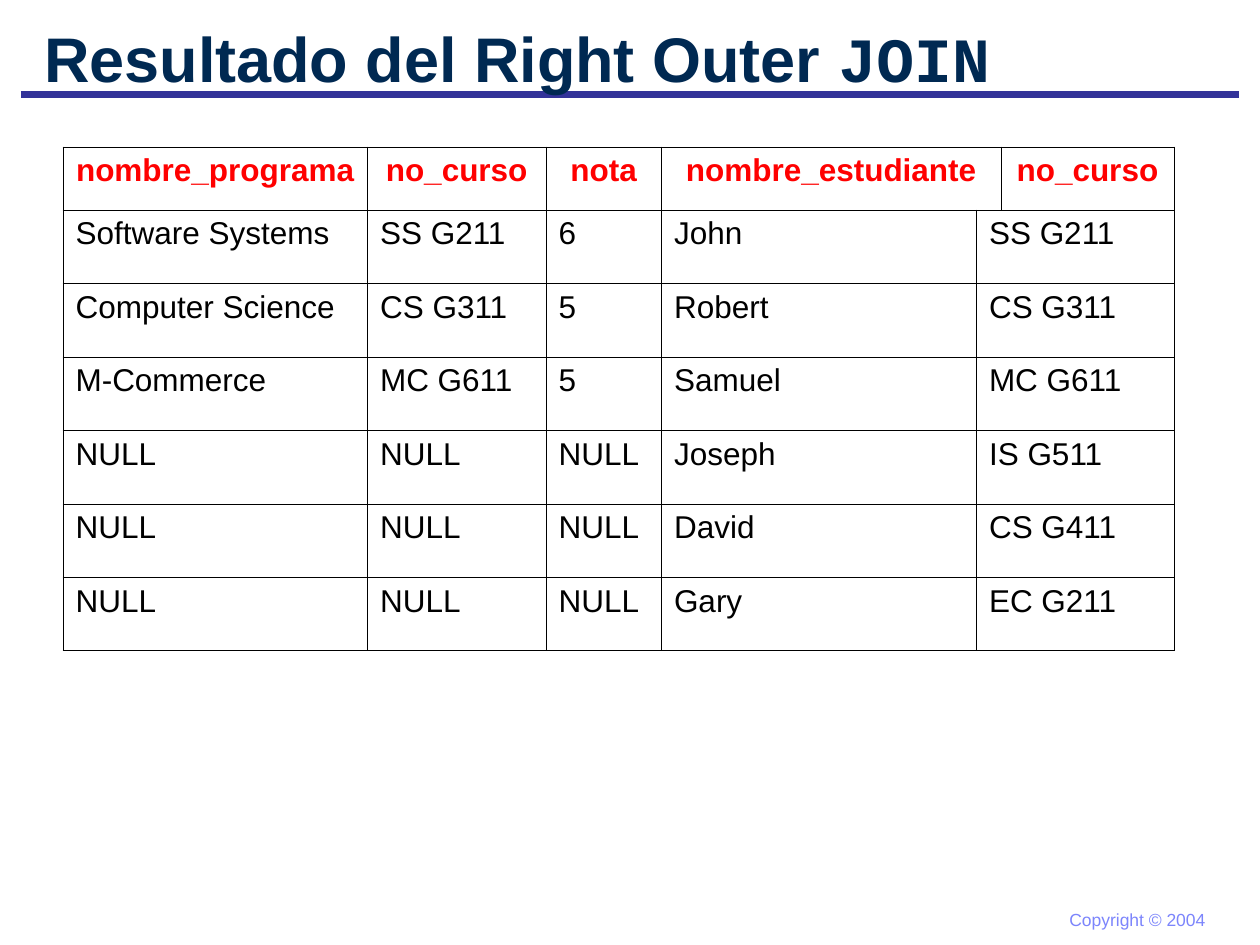
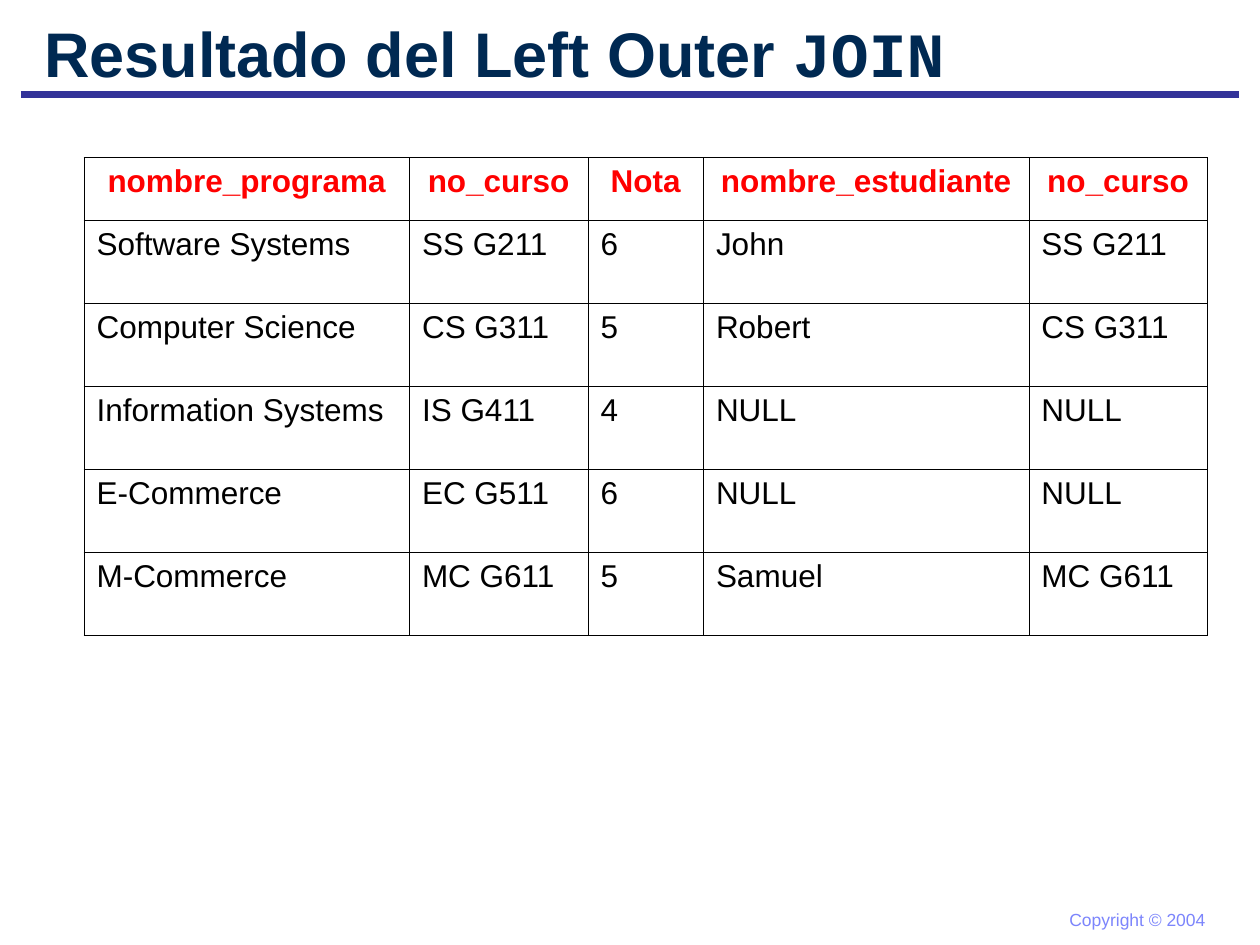
from dataclasses import dataclass

from lxml.etree import SubElement
from pptx import Presentation
from pptx.dml.color import RGBColor as Rgb
from pptx.enum.shapes import MSO_CONNECTOR as Link
from pptx.enum.text import MSO_ANCHOR as Anchor, MSO_AUTO_SIZE as Fit, PP_ALIGN as Align
from pptx.oxml.ns import qn
from pptx.util import Pt


@dataclass(frozen=True)
class Theme:
    title: str = "002952"
    rule: str = "333399"
    foot: str = "7C85FC"
    head: str = "FF0000"
    ink: str = "000000"
    sans: str = "Arial"
    mono: str = "Courier New"
    title_size: float = 36
    cell_size: float = 18
    foot_size: float = 10
    rule_width: float = 4.5
    grid_width: float = 0.45


THEME = Theme()


def add_run(para, text, size, color, bold=False, font=THEME.sans):
    run = para.add_run()
    run.text = text
    run.font.name = font
    run.font.size = Pt(size)
    run.font.bold = bold
    run.font.color.rgb = Rgb.from_string(color)


def place(shape, box):
    shape.left, shape.top, shape.width, shape.height = map(Pt, box)


def add_title(slide, text, box):
    title = slide.shapes.title
    place(title, box)
    frame = title.text_frame
    frame.auto_size = Fit.NONE
    frame.word_wrap = True
    frame.vertical_anchor = Anchor.MIDDLE
    para = frame.paragraphs[0]
    para.alignment = Align.LEFT
    add_run(para, text + " ", THEME.title_size, THEME.title, True)
    add_run(para, "JOIN", THEME.title_size, THEME.title, True, THEME.mono)


def add_rule(slide, box):
    left, top, width, _ = box
    rule = slide.shapes.add_connector(
        Link.STRAIGHT, Pt(left), Pt(top), Pt(left + width), Pt(top))
    rule.line.color.rgb = Rgb.from_string(THEME.rule)
    rule.line.width = Pt(THEME.rule_width)
    SubElement(rule.element.spPr, qn("a:effectLst"))
    # The title's descenders lie over the rule
    slide.shapes.title.element.addprevious(rule.element)


def add_footer(slide, box):
    note = slide.shapes.add_textbox(*map(Pt, box))
    frame = note.text_frame
    frame.word_wrap = False
    frame.auto_size = Fit.SHAPE_TO_FIT_TEXT
    add_run(frame.paragraphs[0], "Copyright © 2004", THEME.foot_size, THEME.foot)


def style_cell(cell):
    props = cell._tc.get_or_add_tcPr()
    for side in ("a:lnL", "a:lnR", "a:lnT", "a:lnB"):
        edge = SubElement(props, qn(side), w=str(Pt(THEME.grid_width)))
        fill = SubElement(edge, qn("a:solidFill"))
        SubElement(fill, qn("a:srgbClr"), val=THEME.ink)
    cell.fill.background()


def add_grid(slide, rows, box, widths, head_spans, body_spans):
    """Spans give the number of grid columns that each value covers."""
    head_height = 36
    row_height = (box[3] - head_height) / (len(rows) - 1)
    table = slide.shapes.add_table(len(rows), len(widths), *map(Pt, box)).table
    table.first_row = table.horz_banding = False
    for col, width in zip(table.columns, widths):
        col.width = Pt(width)
    for r, values in enumerate(rows):
        head = r == 0
        table.rows[r].height = Pt(head_height if head else row_height)
        for cell in table.rows[r].cells:
            style_cell(cell)
        c = 0
        for text, span in zip(values, head_spans if head else body_spans):
            cell = table.cell(r, c)
            if span > 1:
                cell.merge(table.cell(r, c + span - 1))
            para = cell.text_frame.paragraphs[0]
            para.alignment = Align.CENTER if head else Align.LEFT
            add_run(para, text, THEME.cell_size, THEME.head if head else THEME.ink, head)
            c += span


def add_result(deck, title, title_height, rows, box, widths,
               head_spans=(1,) * 5, body_spans=(1,) * 5):
    slide = deck.slides.add_slide(deck.slide_layouts[5])
    add_title(slide, title, (18, 12, 612, title_height))
    add_rule(slide, (12, 54, 696, 0))
    add_footer(slide, (604, 516, 92, 19.5))
    add_grid(slide, rows, box, widths, head_spans, body_spans)


def main():
    deck = Presentation()
    deck.slide_width, deck.slide_height = Pt(720), Pt(540)

    # Right join: header and body split the last columns differently
    add_result(deck, "Resultado del Right Outer", 42, [
        ("nombre_programa", "no_curso", "nota", "nombre_estudiante", "no_curso"),
        ("Software Systems", "SS G211", "6", "John", "SS G211"),
        ("Computer Science", "CS G311", "5", "Robert", "CS G311"),
        ("M-Commerce", "MC G611", "5", "Samuel", "MC G611"),
        ("NULL", "NULL", "NULL", "Joseph", "IS G511"),
        ("NULL", "NULL", "NULL", "David", "CS G411"),
        ("NULL", "NULL", "NULL", "Gary", "EC G211"),
    ], (36, 84, 635, 288), (174, 102, 66, 180, 14, 99),
        head_spans=(1, 1, 1, 2, 1), body_spans=(1, 1, 1, 1, 2))

    # Left join
    add_result(deck, "Resultado del Left Outer", 36, [
        ("nombre_programa", "no_curso", "Nota", "nombre_estudiante", "no_curso"),
        ("Software Systems", "SS G211", "6", "John", "SS G211"),
        ("Computer Science", "CS G311", "5", "Robert", "CS G311"),
        ("Information Systems", "IS G411", "4", "NULL", "NULL"),
        ("E-Commerce", "EC G511", "6", "NULL", "NULL"),
        ("M-Commerce", "MC G611", "5", "Samuel", "MC G611"),
    ], (48, 90, 642, 273), (186, 102, 66, 186, 102))

    deck.save("out.pptx")


if __name__ == "__main__":
    main()
